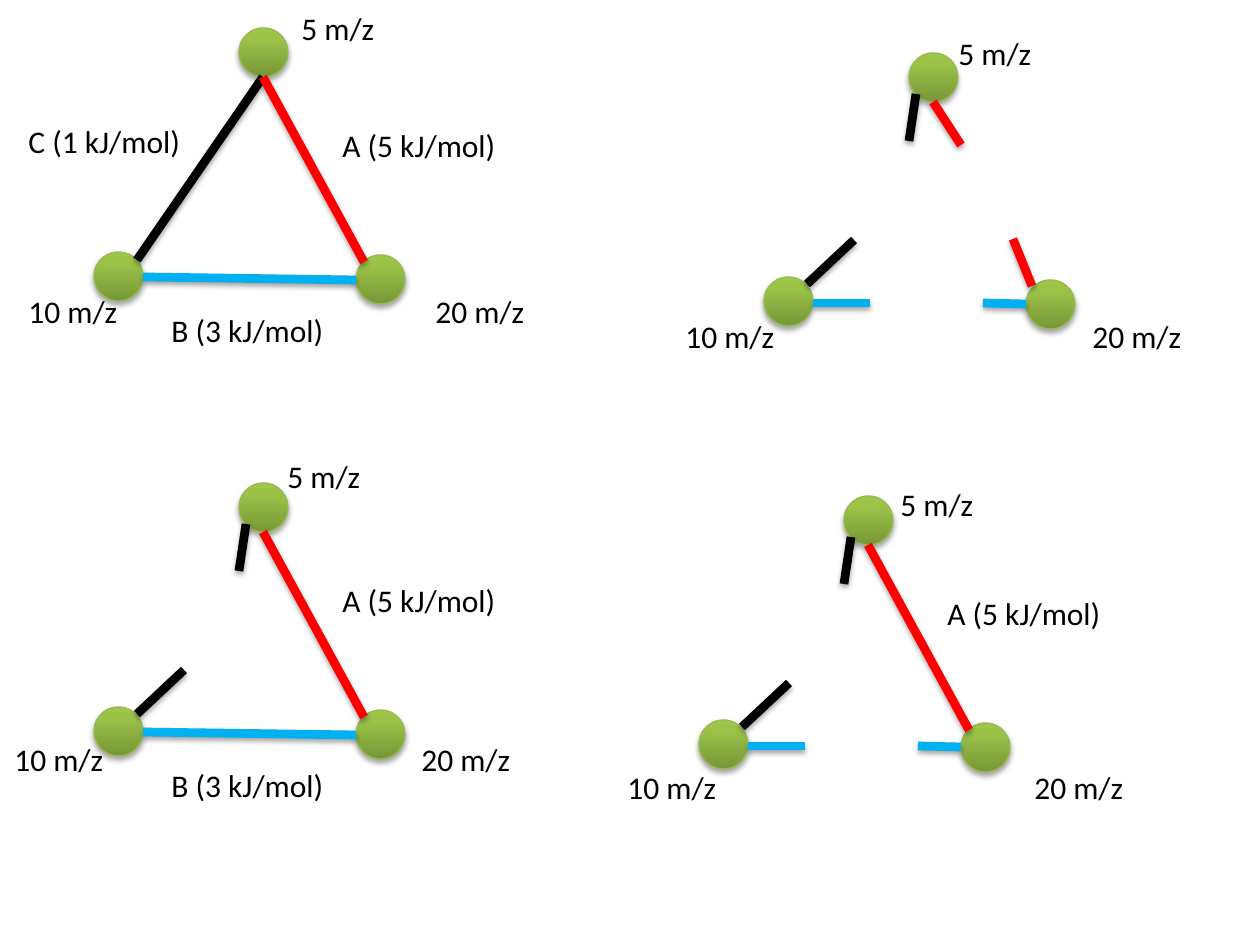
from copy import deepcopy
from dataclasses import dataclass

from lxml.etree import SubElement
from pptx import Presentation
from pptx.dml.color import RGBColor
from pptx.enum.shapes import MSO_CONNECTOR, MSO_SHAPE
from pptx.enum.text import MSO_AUTO_SIZE
from pptx.oxml.ns import qn
from pptx.shapes.group import GroupShape
from pptx.util import Emu, Pt

PIXELS_PER_INCH = 126
NODE_SIZE = 49
LABEL_HEIGHT = 50

BLACK = RGBColor(0x00, 0x00, 0x00)
BLUE = RGBColor(0x00, 0xB0, 0xF0)
RED = RGBColor(0xFF, 0x00, 0x00)
NODE_LINE = RGBColor(0x98, 0xB9, 0x55)
NODE_STOPS = (
    (0.0, RGBColor(0x77, 0x97, 0x37)),
    (0.8, RGBColor(0x9B, 0xC3, 0x48)),
    (1.0, RGBColor(0x9D, 0xC7, 0x46)),
)

Point = tuple[int, int]


@dataclass(frozen=True)
class Bond:
    start: Point
    end: Point
    color: RGBColor


@dataclass(frozen=True)
class Label:
    text: str
    position: Point
    width: int


@dataclass(frozen=True)
class Panel:
    origin: Point
    mass_origin: Point
    bonds: tuple[Bond, ...]
    energies: tuple[Label, ...]


NODES = ((145, 0), (0, 224), (262, 227))

BOND_A = Bond((270, 234), (169, 49), RED)
BOND_B = Bond((262, 252), (49, 249), BLUE)
BOND_C = Bond((169, 49), (43, 232), BLACK)
BROKEN_A = (
    Bond((197, 92), (169, 49), RED),
    Bond((268, 233), (249, 186), RED),
)
BROKEN_B = (
    Bond((106, 250), (49, 250), BLUE),
    Bond((262, 251), (219, 250), BLUE),
)
BROKEN_C = (
    Bond((90, 187), (43, 231), BLACK),
    Bond((152, 41), (145, 88), BLACK),
)

ENERGY_A = Label("A (5 kJ/mol)", (236, 92), 185)
ENERGY_B = Label("B (3 kJ/mol)", (65, 277), 185)
ENERGY_C = Label("C (1 kJ/mol)", (-78, 88), 184)
MASSES = (
    Label("5 m/z", (0, 0), 100),
    Label("10 m/z", (-273, 283), 116),
    Label("20 m/z", (134, 283), 116),
)

PANELS = (
    Panel((94, 28), (289, 3), (BOND_C, BOND_B, BOND_A), (ENERGY_A, ENERGY_B, ENERGY_C)),
    Panel((94, 483), (275, 451), (*BROKEN_C, BOND_B, BOND_A), (ENERGY_A, ENERGY_B)),
    Panel((699, 496), (888, 479), (*BROKEN_C, *BROKEN_B, BOND_A), (ENERGY_A,)),
    Panel((764, 53), (946, 28), (*BROKEN_C, *BROKEN_B, *BROKEN_A), ()),
)


def pixels(value: float) -> Emu:
    return Emu(round(value * 914400 / PIXELS_PER_INCH))


def place(origin: Point, offset: Point) -> tuple[Emu, Emu]:
    return pixels(origin[0] + offset[0]), pixels(origin[1] + offset[1])


def add_shadow(shape) -> None:
    effects = SubElement(shape._element.spPr, qn("a:effectLst"))
    shadow = SubElement(
        effects, qn("a:outerShdw"),
        blurRad=str(Pt(3.1)), dist=str(Pt(1.8)), dir="5400000", rotWithShape="0",
    )
    color = SubElement(shadow, qn("a:srgbClr"), val=str(BLACK))
    SubElement(color, qn("a:alpha"), val="35000")


def add_node(group: GroupShape, origin: Point, offset: Point) -> None:
    size = pixels(NODE_SIZE)
    node = group.shapes.add_shape(MSO_SHAPE.OVAL, *place(origin, offset), size, size)
    node.fill.gradient()
    node.fill.gradient_angle = 90
    stop_list = node._element.spPr.find(".//" + qn("a:gsLst"))
    stop_list.append(deepcopy(stop_list[0]))
    for stop, (position, color) in zip(node.fill.gradient_stops, NODE_STOPS):
        stop.position = position
        stop.color.rgb = color
    node.line.color.rgb = NODE_LINE
    node.line.width = Pt(0.75)
    add_shadow(node)


def add_bond(group: GroupShape, origin: Point, bond: Bond) -> None:
    line = group.shapes.add_connector(
        MSO_CONNECTOR.STRAIGHT, *place(origin, bond.start), *place(origin, bond.end)
    )
    line.line.color.rgb = bond.color
    line.line.width = Pt(5)
    add_shadow(line)


def add_label(group: GroupShape, origin: Point, label: Label) -> None:
    box = group.shapes.add_textbox(
        *place(origin, label.position), pixels(label.width), pixels(LABEL_HEIGHT)
    )
    frame = box.text_frame
    frame.word_wrap = False
    frame.auto_size = MSO_AUTO_SIZE.SHAPE_TO_FIT_TEXT
    paragraph = frame.paragraphs[0]
    paragraph.text = label.text
    paragraph.font.name = "Calibri"
    paragraph.font.size = Pt(18)
    paragraph.font.color.rgb = BLACK


def add_panel(slide, panel: Panel) -> None:
    group = slide.shapes.add_group_shape()
    for offset in NODES:
        add_node(group, panel.origin, offset)
    for bond in panel.bonds:
        add_bond(group, panel.origin, bond)
    for label in panel.energies:
        add_label(group, panel.origin, label)
    for label in MASSES:
        add_label(group, panel.mass_origin, label)


presentation = Presentation()
presentation.slide_width = pixels(1260)
presentation.slide_height = pixels(945)
slide = presentation.slides.add_slide(presentation.slide_layouts[6])
for panel in PANELS:
    add_panel(slide, panel)
presentation.save("out.pptx")
